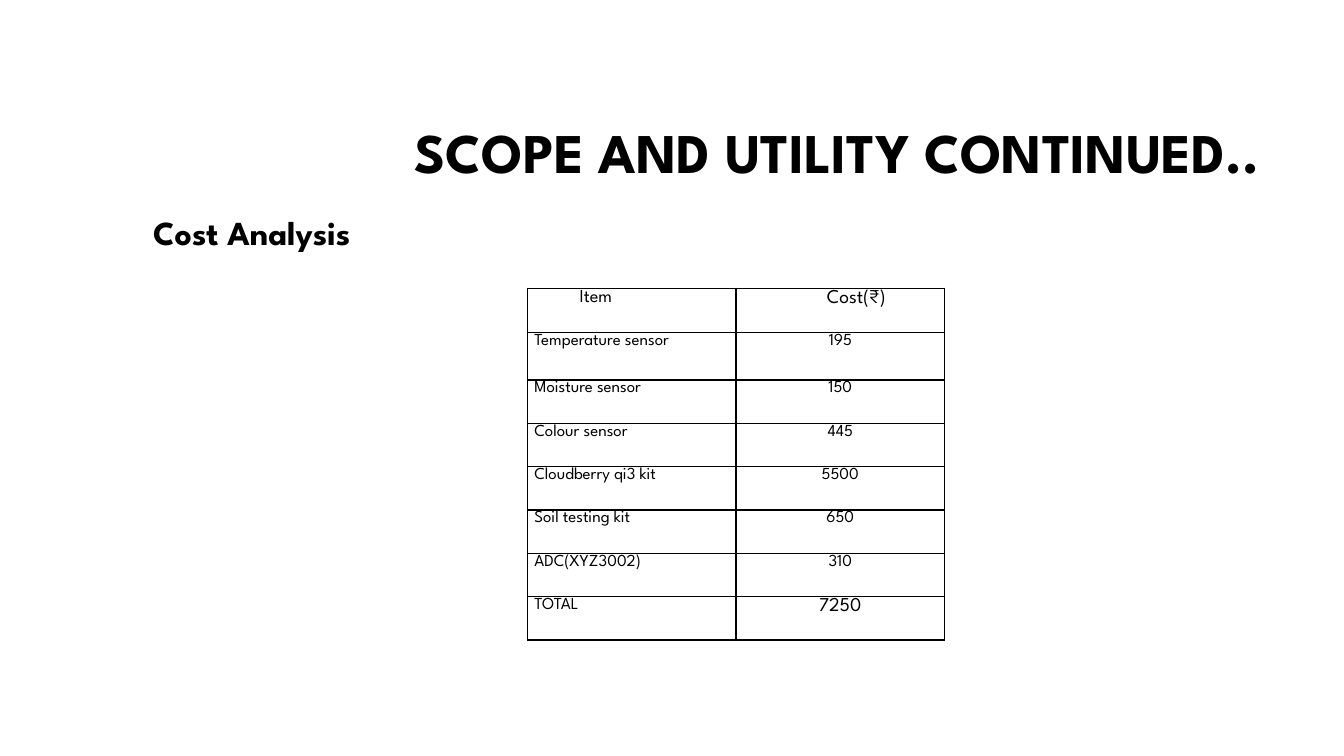
from dataclasses import dataclass

from lxml import etree
from pptx import Presentation
from pptx import util as u
from pptx.dml.color import RGBColor
from pptx.enum import text
from pptx.oxml import ns

SLIDE_WIDTH, SLIDE_HEIGHT = 13.33, 7.5
FONT = "League Spartan"
BLACK = "000000"
LEFT, CENTER, RIGHT, JUSTIFY = (
    text.PP_ALIGN.LEFT,
    text.PP_ALIGN.CENTER,
    text.PP_ALIGN.RIGHT,
    text.PP_ALIGN.JUSTIFY,
)

TABLE_LEFT, TABLE_TOP = 5.23, 2.86
COLUMN_WIDTH = 2.07
ROW_HEIGHTS = [0.44, 0.47] + [0.43] * 6
CELL_INSET = 0.07


@dataclass
class Heading:
    words: str
    left: float
    top: float
    width: float
    height: float
    size: float
    align: text.PP_ALIGN = LEFT
    anchor: text.MSO_ANCHOR = text.MSO_ANCHOR.TOP
    spacing: float = 1.0
    wrap: bool = True


@dataclass
class Entry:
    words: str
    size: float = 12
    indent: float = 0


HEADINGS = [
    Heading("SCOPE AND UTILITY CONTINUED..", 3.17, 0.84, 9.42, 1.41, 40,
            RIGHT, text.MSO_ANCHOR.MIDDLE, 0.9),
    Heading("Cost Analysis", 1.42, 2.05, 2.54, 0.5, 24, wrap=False),
]

COSTS = [
    (Entry("Item", 13, 0.45), Entry("Cost(₹)", 14, 0.32)),
    (Entry("Temperature sensor"), Entry("195")),
    (Entry("Moisture sensor"), Entry("150")),
    (Entry("Colour sensor"), Entry("445")),
    (Entry("Cloudberry qi3 kit"), Entry("5500")),
    (Entry("Soil testing kit"), Entry("650")),
    (Entry("ADC(XYZ3002)"), Entry("310")),
    (Entry("TOTAL"), Entry("7250", 14)),
]


def colour(value: str) -> RGBColor:
    return RGBColor.from_string(value)


def write(para, words: str, size: float, align, spacing: float, bold: bool = False) -> None:
    para.alignment = align
    para.line_spacing = spacing
    span = para.add_run()
    span.text = words
    span.font.name = FONT
    span.font.size = u.Pt(size)
    span.font.bold = bold
    span.font.color.rgb = colour(BLACK)


def add_heading(page, heading: Heading) -> None:
    box = page.shapes.add_textbox(
        u.Inches(heading.left), u.Inches(heading.top),
        u.Inches(heading.width), u.Inches(heading.height))
    frame = box.text_frame
    frame.word_wrap = heading.wrap
    frame.vertical_anchor = heading.anchor
    write(frame.paragraphs[0], heading.words, heading.size,
          heading.align, heading.spacing, bold=True)


def add_borders(cell, width: float) -> None:
    """Rule all four sides of a cell; borders must precede its fill."""
    properties = cell._tc.get_or_add_tcPr()
    for position, side in enumerate(("a:lnL", "a:lnR", "a:lnT", "a:lnB")):
        line = etree.Element(ns.qn(side), w=str(u.Pt(width)))
        fill = etree.SubElement(line, ns.qn("a:solidFill"))
        etree.SubElement(fill, ns.qn("a:srgbClr"), val=BLACK)
        properties.insert(position, line)


def fill_cell(cell, entry: Entry, align) -> None:
    cell.margin_left = cell.margin_right = u.Inches(CELL_INSET)
    cell.margin_top = cell.margin_bottom = 0
    cell.fill.background()
    add_borders(cell, 1)
    para = cell.text_frame.paragraphs[0]
    write(para, entry.words, entry.size, align, 1.07)
    if entry.indent:
        para._p.get_or_add_pPr().set("marL", str(u.Inches(entry.indent)))


def add_cost_table(page) -> None:
    table = page.shapes.add_table(
        len(COSTS), 2, u.Inches(TABLE_LEFT), u.Inches(TABLE_TOP),
        u.Inches(2 * COLUMN_WIDTH), u.Inches(sum(ROW_HEIGHTS))).table
    table.first_row = table.horz_banding = False
    for column in table.columns:
        column.width = u.Inches(COLUMN_WIDTH)
    for row, height, entries in zip(table.rows, ROW_HEIGHTS, COSTS):
        row.height = u.Inches(height)
        for cell, entry, align in zip(row.cells, entries, (JUSTIFY, CENTER)):
            fill_cell(cell, entry, align)


def main() -> None:
    deck = Presentation()
    deck.slide_width = u.Inches(SLIDE_WIDTH)
    deck.slide_height = u.Inches(SLIDE_HEIGHT)
    page = deck.slides.add_slide(deck.slide_layouts[6])
    for heading in HEADINGS:
        add_heading(page, heading)
    add_cost_table(page)
    deck.save("out.pptx")


if __name__ == "__main__":
    main()
